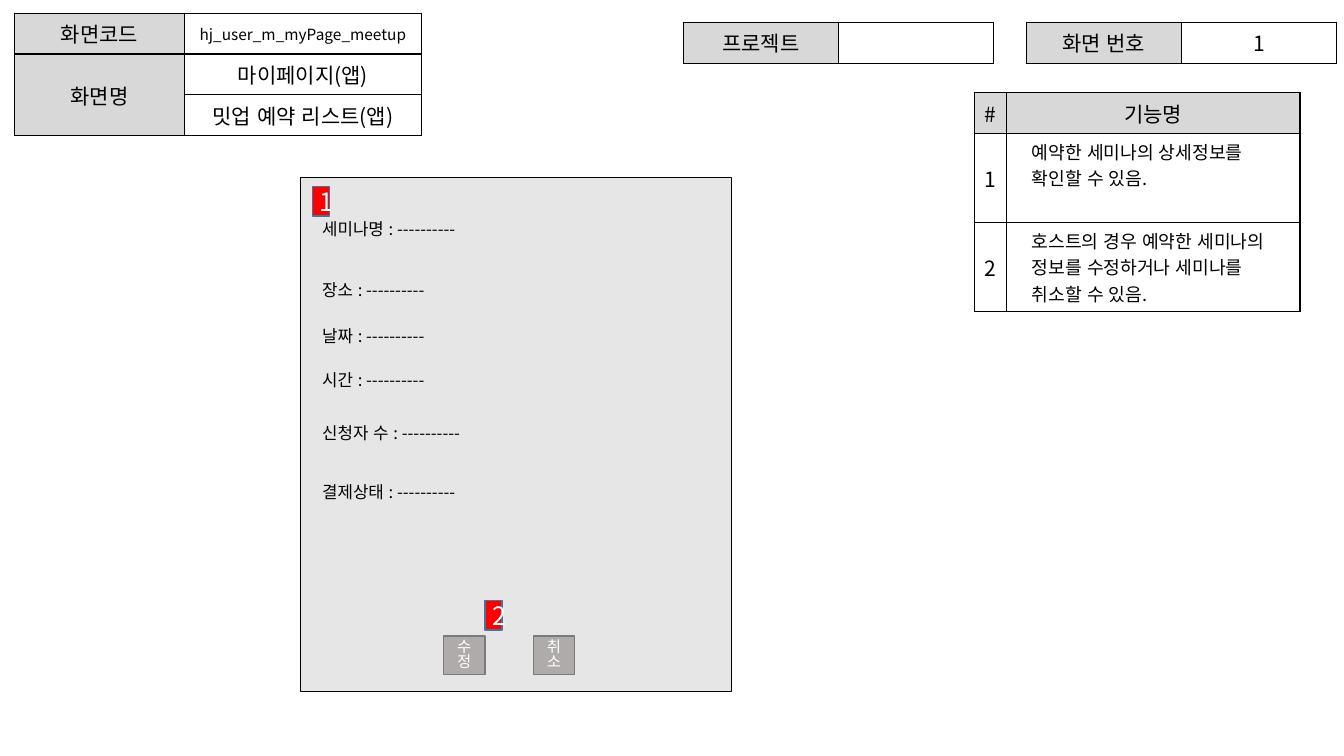
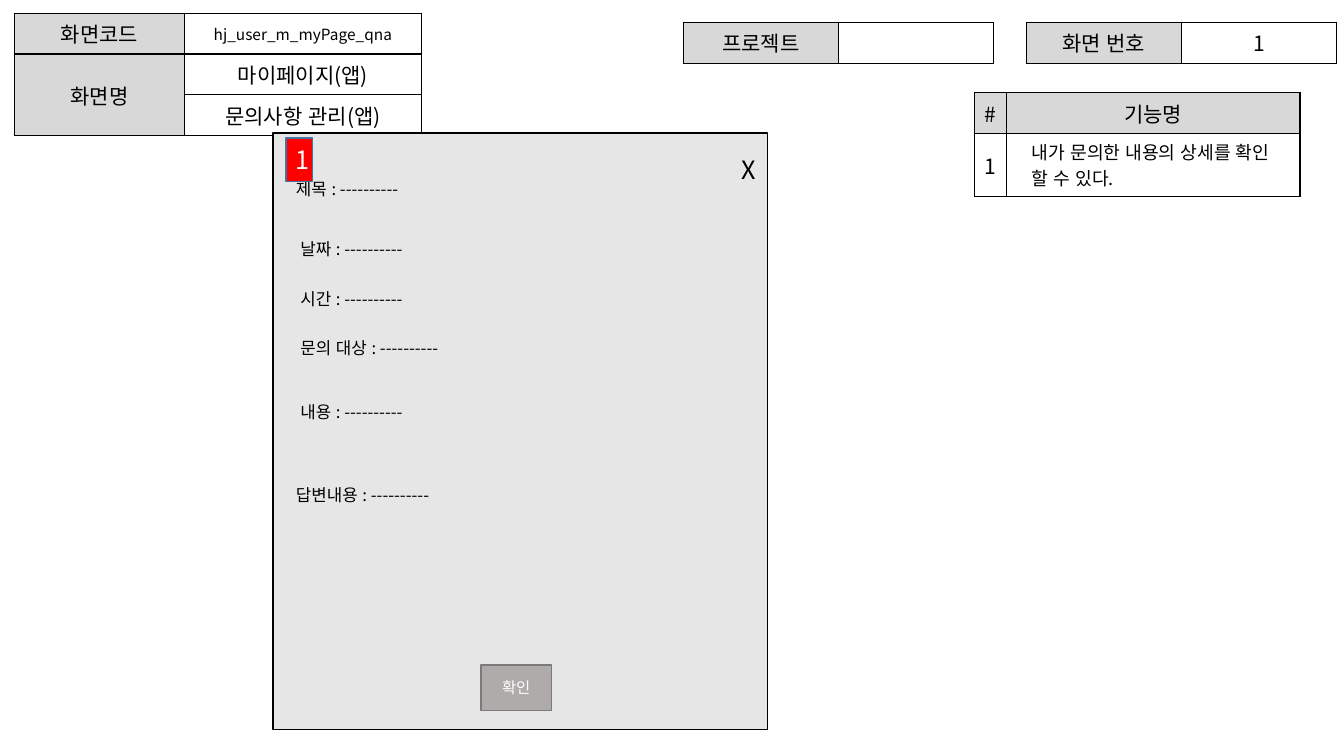
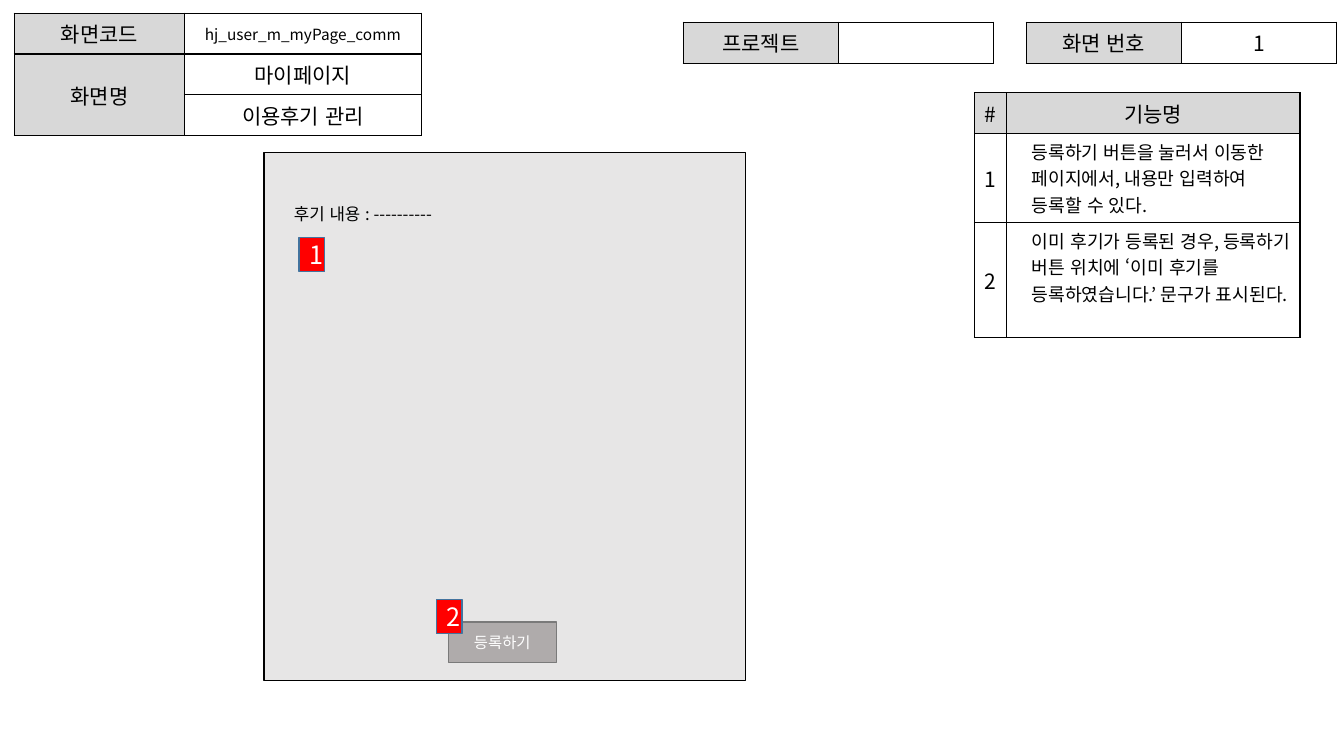
import pptx
import pptx.util
import pptx.dml.color
import pptx.enum.lang
import pptx.enum.shapes
import pptx.enum.text
import pptx.oxml.ns
from lxml import etree

Cm, Pt = pptx.util.Cm, pptx.util.Pt
ALIGN = pptx.enum.text.PP_ALIGN
MIDDLE = pptx.enum.text.MSO_ANCHOR.MIDDLE
TOP = pptx.enum.text.MSO_ANCHOR.TOP

# Shared style
FONT = "Noto Sans CJK KR"
BLACK, WHITE, HEAD = "000000", "FFFFFF", "D8D8D8"
FRAME, BUTTON, BUTTON_LINE = "E7E6E6", "AFABAB", "7A7A7A"
BADGE, BADGE_LINE = "FF0000", "43739E"
ROW_HEIGHT = 1.03
BLANK_FIELD = " : ----------"

# Content, lengths in centimetres: features are (text, lines), fields are
# (label, left, top), buttons and marks are (text, left, top)
SCREENS = [
    {
        "code": "hj_user_m_myPage_meetup",
        "names": ("마이페이지(앱)", "밋업 예약 리스트(앱)"),
        "features": [
            ("예약한 세미나의 상세정보를 확인할 수 있음.", 3),
            ("호스트의 경우 예약한 세미나의 정보를 수정하거나 세미나를 취소할 수 있음.", 3),
        ],
        "frame": (7.57, 4.47, 10.87, 12.95),
        "field_size": (5.13, 0.89),
        "fields": [("세미나명", 7.87, 5.38), ("장소", 7.87, 6.93), ("날짜", 7.87, 8.08),
                   ("시간", 7.87, 9.19), ("신청자 수", 7.87, 10.52), ("결제상태", 7.87, 12.01)],
        "button_size": (1.04, 0.97),
        "buttons": [("수정", 11.18, 16.03), ("취소", 13.44, 16.03)],
        "button_spacing": 0.8,
        "badge_size": (0.43, 0.74),
        "badges": [("1", 7.87, 4.7), ("2", 12.22, 15.14)],
    },
    {
        "code": "hj_user_m_myPage_qna",
        "names": ("마이페이지(앱)", "문의사항 관리(앱)"),
        "features": [("내가 문의한 내용의 상세를 확인 할 수 있다.", 2)],
        "frame": (6.88, 3.35, 12.47, 15.04),
        "field_size": (5.89, 1.04),
        "fields": [("제목", 7.21, 4.39), ("날짜", 7.32, 5.89), ("시간", 7.32, 7.16),
                   ("문의 대상", 7.32, 8.38), ("내용", 7.32, 10.01), ("답변내용", 7.21, 12.09)],
        "button_size": (1.78, 1.14),
        "buttons": [("확인", 12.12, 16.76)],
        "close": (18.44, 3.76, 0.66, 1.37),
        "badge_size": (0.66, 1.09),
        "badges": [("1", 7.21, 3.48)],
    },
    {
        "code": "hj_user_m_myPage_comm",
        "names": ("마이페이지", "이용후기 관리"),
        "features": [
            ("등록하기 버튼을 눌러서 이동한 페이지에서, 내용만 입력하여 등록할 수 있다.", 3),
            ("이미 후기가 등록된 경우, 등록하기 버튼 위치에 ‘이미 후기를 등록하였습니다.’ 문구가 표시된다.", 4),
        ],
        "frame": (6.65, 3.84, 12.14, 13.31),
        "field_size": (5.74, 0.91),
        "fields": [("후기 내용", 7.16, 5)],
        "button_size": (2.72, 1.02),
        "buttons": [("등록하기", 11.3, 15.67)],
        "badge_size": (0.64, 0.86),
        "badges": [("1", 7.54, 5.99), ("2", 11, 15.11)],
    },
]


def color(value):
    return pptx.dml.color.RGBColor.from_string(value)


def write_text(frame, text, size=15, ink=BLACK, align=ALIGN.CENTER, indent=0, spacing=None):
    para = frame.paragraphs[0]
    para.alignment = align
    para.line_spacing = spacing
    if indent:
        para._p.get_or_add_pPr().set("marL", str(Cm(indent)))
    span = para.add_run()
    span.text = text
    span.font.name = FONT
    span.font.size = Pt(size)
    span.font.color.rgb = color(ink)
    span.font.language_id = pptx.enum.lang.MSO_LANGUAGE_ID.KOREAN
    east_asian = etree.SubElement(span._r.get_or_add_rPr(), pptx.oxml.ns.qn("a:ea"))
    east_asian.set("typeface", FONT)


def add_borders(cell):
    properties = cell._tc.get_or_add_tcPr()
    for position, side in enumerate(("lnL", "lnR", "lnT", "lnB")):
        line = etree.Element(pptx.oxml.ns.qn("a:" + side), w=str(Pt(1)))
        fill = etree.SubElement(line, pptx.oxml.ns.qn("a:solidFill"))
        etree.SubElement(fill, pptx.oxml.ns.qn("a:srgbClr"), val=BLACK)
        properties.insert(position, line)


def add_grid(page, left, top, widths, heights, rows):
    """Each cell is (text, fill, text format)."""
    table = page.shapes.add_table(len(heights), len(widths), Cm(left), Cm(top),
                                  Cm(sum(widths)), Cm(sum(heights))).table
    table.first_row = table.horz_banding = False
    for column, width in zip(table.columns, widths):
        column.width = Cm(width)
    for row, height, content in zip(table.rows, heights, rows):
        row.height = Cm(height)
        for cell, (text, fill, style) in zip(row.cells, content):
            cell.fill.solid()
            cell.fill.fore_color.rgb = color(fill)
            cell.vertical_anchor = TOP if "indent" in style else MIDDLE
            add_borders(cell)
            if text:
                write_text(cell.text_frame, text, **style)
    return table


def head(text):
    return text, HEAD, {}


def body(text, **style):
    return text, WHITE, style


def add_block(page, left, top, width, height, fill, line, text="", **style):
    block = page.shapes.add_shape(pptx.enum.shapes.MSO_SHAPE.RECTANGLE,
                                  Cm(left), Cm(top), Cm(width), Cm(height))
    block.shadow.inherit = False
    block.fill.solid()
    block.fill.fore_color.rgb = color(fill)
    block.line.color.rgb = color(line)
    block.line.width = Pt(1)
    block.text_frame.vertical_anchor = MIDDLE
    if text:
        write_text(block.text_frame, text, ink=WHITE, **style)


def add_label(page, text, left, top, width, height, size):
    box = page.shapes.add_textbox(Cm(left), Cm(top), Cm(width), Cm(height))
    box.text_frame.word_wrap = True
    write_text(box.text_frame, text, size=size, align=ALIGN.LEFT)


def add_header(page, screen):
    category, name = screen["names"]
    names = add_grid(page, 0.36, 0.33, (4.29, 5.97), [ROW_HEIGHT] * 3, [
        (head("화면코드"), body(screen["code"], size=11)),
        (head("화면명"), body(category)),
        (head(""), body(name)),
    ])
    names.cell(1, 0).merge(names.cell(2, 0))
    for left, title, value in ((25.86, "화면 번호", "1"), (17.22, "프로젝트", "")):
        add_grid(page, left, 0.56, (3.91, 3.91), [ROW_HEIGHT], [(head(title), body(value))])


def add_features(page, features):
    rows = [(head("#"), head("기능명"))]
    heights = [ROW_HEIGHT]
    for number, (text, lines) in enumerate(features, 1):
        rows.append((body(str(number)),
                     body(text, size=13, align=ALIGN.LEFT, indent=0.38)))
        heights.append(0.26 + 0.66 * lines)
    add_grid(page, 24.56, 2.34, (0.81, 7.39), heights, rows)


def add_mockup(page, screen):
    add_block(page, *screen["frame"], FRAME, BLACK)
    for label, left, top in screen["fields"]:
        add_label(page, label + BLANK_FIELD, left, top, *screen["field_size"], size=12)
    for text, left, top in screen["buttons"]:
        add_block(page, left, top, *screen["button_size"], BUTTON, BUTTON_LINE, text,
                  size=11, spacing=screen.get("button_spacing"))
    if "close" in screen:
        add_label(page, "X", *screen["close"], size=18)
    for number, left, top in screen["badges"]:
        add_block(page, left, top, *screen["badge_size"], BADGE, BADGE_LINE, number, size=18)


def main():
    deck = pptx.Presentation()
    deck.slide_width, deck.slide_height = Cm(33.87), Cm(19.05)
    for screen in SCREENS:
        page = deck.slides.add_slide(deck.slide_layouts[6])
        add_header(page, screen)
        add_features(page, screen["features"])
        add_mockup(page, screen)
    deck.save("out.pptx")


if __name__ == "__main__":
    main()
